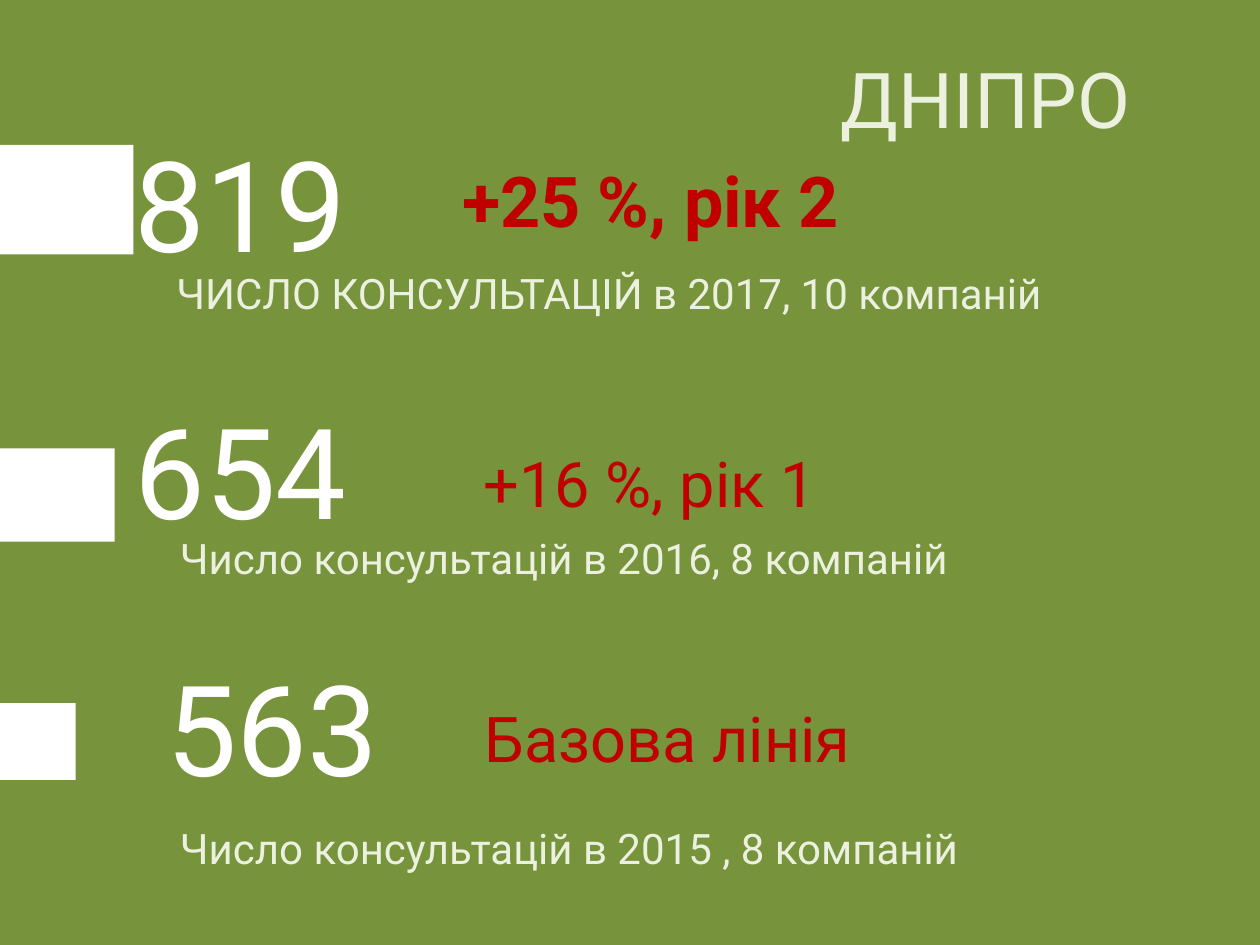
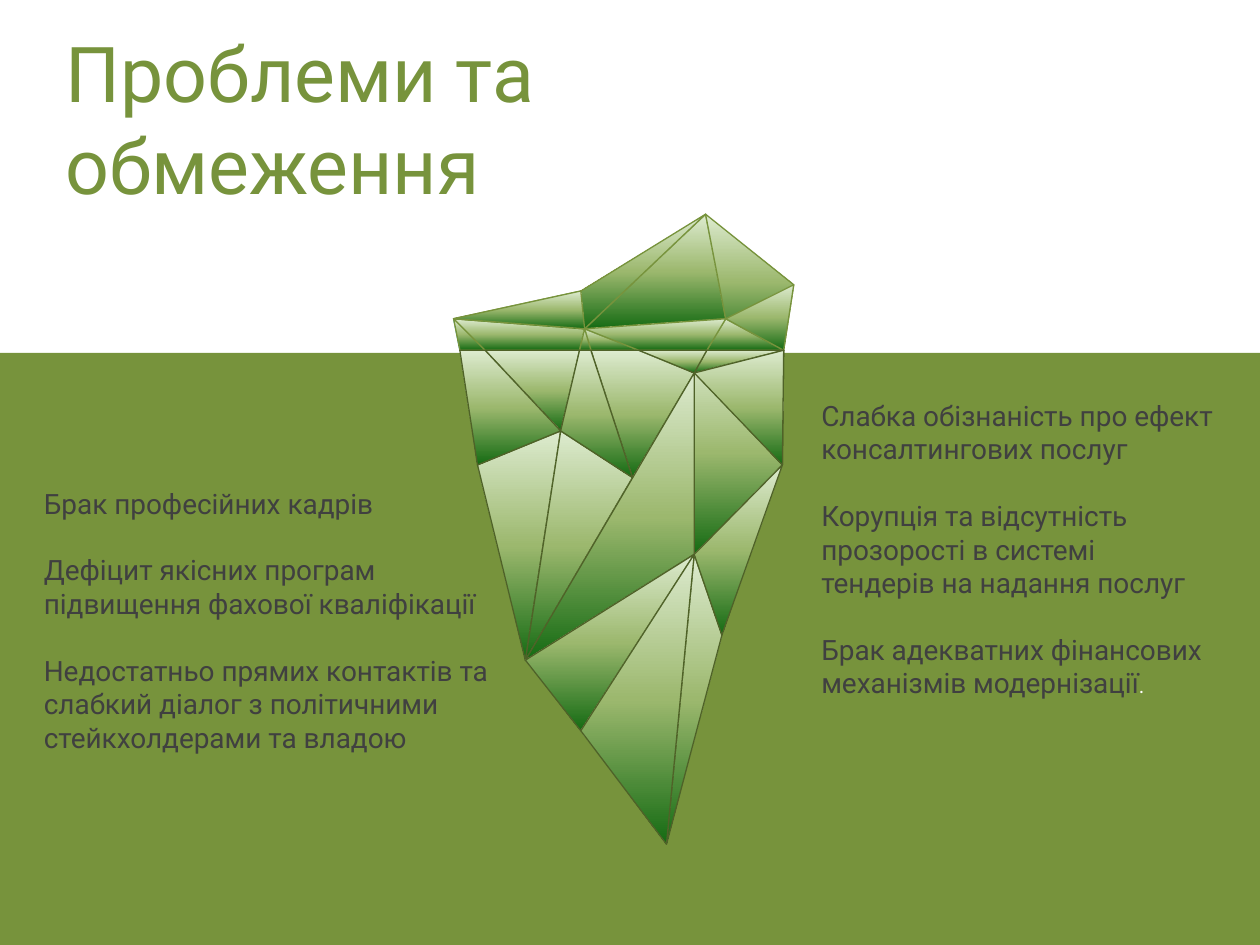
from lxml import etree
from pptx import Presentation
from pptx.dml.color import RGBColor
from pptx.enum.shapes import MSO_SHAPE
from pptx.enum.text import MSO_ANCHOR, MSO_AUTO_SIZE, PP_ALIGN
from pptx.util import Inches, Pt

RECTANGLE = MSO_SHAPE.RECTANGLE
TOP = MSO_ANCHOR.TOP
NO_FIT = MSO_AUTO_SIZE.NONE
LEFT, CENTER = PP_ALIGN.LEFT, PP_ALIGN.CENTER

FONT = "Roboto"
GREEN = RGBColor(0x77, 0x93, 0x3C)
DARK_GREEN = RGBColor(0x4F, 0x62, 0x28)
PALE_GREEN = RGBColor(0xEB, 0xF1, 0xDE)
TEAL = RGBColor(0x5A, 0xB1, 0xC9)
RED = RGBColor(0xC0, 0x00, 0x00)
GREY = RGBColor(0x40, 0x40, 0x40)
WHITE = RGBColor(0xFF, 0xFF, 0xFF)

TITLE = {"size": Pt(44)}
NUMBER = {"size": Pt(72), "color": WHITE}
CAPTION = {"size": Pt(24), "color": PALE_GREEN}
CHANGE = {"size": Pt(36), "color": RED}
PROBLEM = {"size": Pt(16), "color": GREY}

A = "http://schemas.openxmlformats.org/drawingml/2006/main"
ICE_STOPS = [(0, "DDEBCF"), (50, "9CB86E"), (100, "156B13")]


def write(shape, box, paragraphs, style, align=LEFT, inset=(0.1, 0.1, 0.1, 0.1), gap=0):
    """Place a text shape and fill it with paragraphs in one style."""
    shape.left, shape.top, shape.width, shape.height = map(Inches, box)
    frame = shape.text_frame
    margins = zip(("margin_left", "margin_top", "margin_right", "margin_bottom"), inset)
    settings = {name: Inches(value) for name, value in margins}
    settings |= {"word_wrap": True, "auto_size": NO_FIT, "vertical_anchor": TOP}
    for name, value in settings.items():
        setattr(frame, name, value)
    for index, text in enumerate(paragraphs):
        paragraph = frame.paragraphs[0] if index == 0 else frame.add_paragraph()
        paragraph.alignment = align
        paragraph.space_before = Pt(gap if index else 0)
        run = paragraph.add_run()
        run.text = text
        font = {"name": FONT} | style
        run.font.color.rgb = font.pop("color")
        for name, value in font.items():
            setattr(run.font, name, value)
    return frame


def add_block(slide, left, top, width, height, color):
    """Draw a plain filled rectangle."""
    block = slide.shapes.add_shape(
        RECTANGLE, Inches(left), Inches(top), Inches(width), Inches(height))
    block.fill.solid()
    block.fill.fore_color.rgb = color
    block.line.fill.background()
    block.shadow.inherit = False


prs = Presentation()
prs.slide_width, prs.slide_height = Inches(10), Inches(7.5)

# Slide 1: consultations per year
results = prs.slides.add_slide(prs.slide_layouts[0])
results.background.fill.solid()
results.background.fill.fore_color.rgb = GREEN

write(results.shapes.title, (6.57, 0.36, 2.91, 0.84), ["ДНІПРО"],
      TITLE | {"color": PALE_GREEN}, inset=(0.1, 0.05, 0.1, 0.05))

for bar in [(1.15, 1.06, 0.87), (3.56, 0.91, 0.74), (5.58, 0.6, 0.61)]:
    add_block(results, 0, *bar, WHITE)

NUMBER_INSET = (0.1, 0.1, 0.57, 0.1)
years = [
    ("819", (0.7, 0.9, 2.89, 1.11), CENTER, NUMBER_INSET,
     "+25 %, рік 2", (3.57, 1.15, 4.46, 0.87), CHANGE | {"size": Pt(40), "bold": True},
     "ЧИСЛО КОНСУЛЬТАЦІЙ в 2017, 10 компаній", (1.3, 2.02, 7.26, 0.96)),
    ("654", (0.7, 3.02, 2.89, 1.11), CENTER, NUMBER_INSET,
     "+16 %, рік 1", (3.74, 3.43, 3.62, 0.87), CHANGE,
     "Число консультацій в 2016, 8 компаній", (1.33, 4.13, 7.26, 0.96)),
    ("563", (1.22, 5.06, 2.18, 1.31), LEFT, (0.1, 0.1, 0.1, 0.1),
     "Базова лінія", (3.75, 5.45, 3.77, 0.87), CHANGE,
     "Число консультацій в 2015 , 8 компаній", (1.33, 6.43, 8.5, 0.68)),
]
for index, (number, number_box, align, inset, change, change_box, change_style,
            caption, caption_box) in enumerate(years):
    write(results.shapes.add_textbox(0, 0, 0, 0), number_box, [number], NUMBER, align, inset)
    write(results.shapes.add_textbox(0, 0, 0, 0), change_box, [change], change_style)
    caption_shape = (results.placeholders[1] if index == 0
                     else results.shapes.add_textbox(0, 0, 0, 0))
    write(caption_shape, caption_box, [caption], CAPTION)

# Slide 2: problems and limits around an iceberg
problems = prs.slides.add_slide(prs.slide_layouts[5])
write(problems.shapes.title, (0.42, 0.1, 3.96, 2.65), ["Проблеми та обмеження"],
      TITLE | {"color": GREEN})
add_block(problems, 0, 2.8, 10, 4.7, GREEN)

# Iceberg corners in hundredths of an inch; w1 to w7 lie on the waterline
corners = {
    "peak": (560, 170), "shoulder": (630, 226), "saddle": (461, 231),
    "west": (360, 253), "ridge": (464, 261), "crest": (576, 253),
    "hub": (551, 296), "notch": (445, 342), "mid": (502, 379),
    "wall_l": (379, 369), "wall_r": (621, 369), "core": (551, 440),
    "low_l": (417, 524), "low_r": (573, 504), "heel": (461, 580), "tip": (529, 670),
}
for index, x in enumerate((365, 385, 460, 469, 507, 561, 622), start=1):
    corners[f"w{index}"] = (x, 278)

facets = [
    (TEAL, ["w7 west w2", "west w2 w1"]),
    (GREEN, ["peak ridge crest", "peak shoulder w7 crest", "ridge w3 w2 west",
             "peak ridge west saddle", "crest w7 w6", "w4 ridge w5", "west w2 w1",
             "saddle ridge west", "shoulder crest w7", "w4 ridge w3",
             "ridge crest w6 w5"]),
    (DARK_GREEN, ["w7 wall_r core hub", "notch low_l wall_l", "w3 notch w2",
                  "core low_r tip", "w7 hub w6", "mid w4 w5 hub", "mid notch low_l",
                  "hub low_l core", "w2 notch wall_l w1", "w7 hub wall_r",
                  "notch mid w4 w3", "low_l core heel", "heel tip core",
                  "wall_r low_r core", "hub w6 w5"]),
]
iceberg = problems.shapes.add_group_shape()
for edge_color, outlines in facets:
    for outline in outlines:
        first, *rest = [corners[name] for name in outline.split()]
        builder = iceberg.shapes.build_freeform(*first, scale=Inches(0.01))
        builder.add_line_segments(rest, close=True)
        facet = builder.convert_to_shape()
        # Three-stop vertical gradient
        gradient = etree.SubElement(facet._element.spPr, f"{{{A}}}gradFill")
        stops = etree.SubElement(gradient, f"{{{A}}}gsLst")
        for percent, color in ICE_STOPS:
            stop = etree.SubElement(stops, f"{{{A}}}gs", pos=str(percent * 1000))
            etree.SubElement(stop, f"{{{A}}}srgbClr", val=color)
        etree.SubElement(gradient, f"{{{A}}}lin", ang="5400000", scaled="0")
        facet.line.color.rgb = edge_color
        facet.line.width = Pt(0.75)
        facet.shadow.inherit = False

# Problem lists on both sides
columns = [
    ((0.25, 3.81, 3.97, 3.47), [
        "Брак професійних кадрів",
        "Дефіцит якісних програм підвищення фахової кваліфікації",
        "Недостатньо прямих контактів та слабкий діалог з політичними "
        "стейкхолдерами та владою"]),
    ((6.42, 3.11, 3.36, 3.69), [
        "Слабка обізнаність про ефект консалтингових послуг",
        "Корупція та відсутність прозорості в системі  тендерів на надання послуг",
        "Брак адекватних фінансових механізмів модернізації"]),
]
for box, items in columns:
    column = write(problems.shapes.add_textbox(0, 0, 0, 0), box, items, PROBLEM,
                   inset=(0.1, 0.05, 0.1, 0.05), gap=19)

# Small white full stop closing the right column
full_stop = column.paragraphs[-1].add_run()
full_stop.text = "."
full_stop.font.name = FONT
full_stop.font.size = Pt(12)
full_stop.font.color.rgb = WHITE

prs.save("out.pptx")
